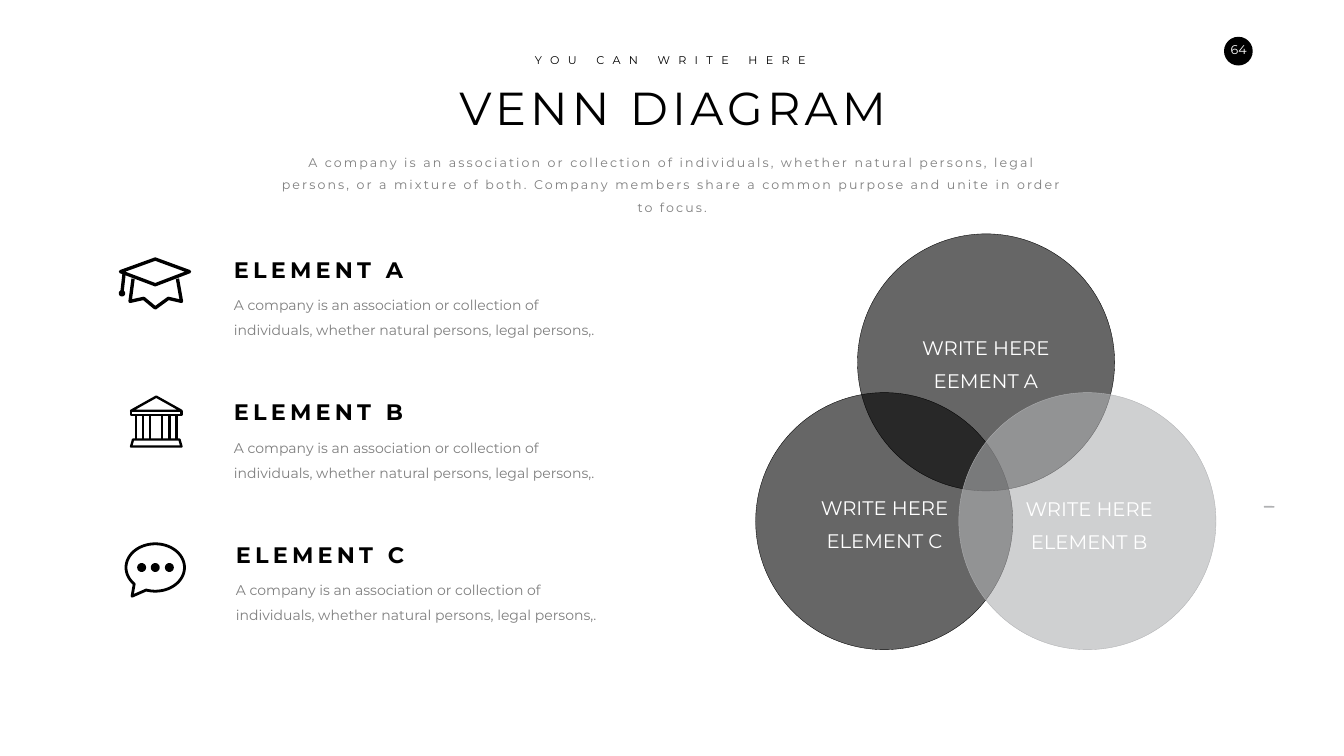
import math
from lxml import etree
from pptx import Presentation
from pptx.dml.color import RGBColor
from pptx.enum import shapes, text
from pptx.oxml.ns import qn
from pptx.util import Inches, Pt

FONT = "Montserrat"
COLORS = {"black": "000000", "white": "FFFFFF", "gray": "7F7F7F", "silver": "B0B1B3"}

# Content
PAGE_NUMBER = "64"
TITLE = "VENN DIAGRAM"
KICKER = "YOU CAN WRITE HERE"
INTRO = ("A company is an association or collection of individuals, whether natural persons, "
         "legal persons, or a mixture of both. Company members share a common purpose and "
         "unite in order to focus.")
ELEMENT_TEXT = ("A company is an association or collection of individuals, "
                "whether natural persons, legal persons,.")
ELEMENTS = [("ELEMENT A", 4.54, 5.03), ("ELEMENT B", 4.54, 7.86), ("ELEMENT C", 4.58, 10.68)]

# Circle left, top, colour; label left, top, lines
CIRCLE_SIZE = 5.1
CIRCLES = [
    (14.99, 7.79, "black", 15.75, 9.61, ["WRITE HERE", "ELEMENT C"]),
    (17.01, 4.64, "black", 17.76, 6.43, ["WRITE HERE", "EEMENT A"]),
    (19.02, 7.79, "silver", 19.81, 9.63, ["WRITE HERE", "ELEMENT B"]),
]


def arc(x, y, radius_x, radius_y, start=0, end=360, step=12):
    return [(x + radius_x * math.cos(math.radians(a)), y + radius_y * math.sin(math.radians(a)))
            for a in range(start, end, step)]


# Icons: each is a list of (points, closed) strokes
CAP = [
    ([(2.39, 5.39), (3.08, 5.14), (3.76, 5.39), (3.08, 5.65)], True),
    ([(2.64, 5.53), (2.58, 5.98), (2.85, 5.92), (3.08, 6.11), (3.34, 5.92),
      (3.6, 5.98), (3.52, 5.53)], False),
    ([(2.46, 5.44), (2.42, 5.8)], False),
    (arc(2.42, 5.82, 0.03, 0.03), True),
]
BANK = [
    ([(3.1, 7.87), (3.6, 8.15), (2.6, 8.15)], True),
    ([(2.6, 8.15), (3.6, 8.15), (3.6, 8.24), (2.6, 8.24)], True),
    ([(2.64, 8.72), (3.56, 8.72), (3.6, 8.86), (2.6, 8.86)], True),
] + [([(x, 8.24), (x, 8.72)], False) for x in (2.7, 2.84, 2.98, 3.22, 3.36, 3.5)]
BUBBLE = [(arc(3.08, 11.26, 0.58, 0.47, 136, 469, 4) + [(2.62, 11.83)], True)]
BUBBLE += [(arc(x, 11.26, radius, radius), True) for x in (2.81, 3.08, 3.36)
           for radius in (0.06, 0.02)]
ICONS = [(CAP, 4.8), (BUBBLE, 4), (BANK, 3.4)]  # strokes, line width in points


def rgb(name):
    return RGBColor.from_string(COLORS[name])


def write(frame, lines, size, color, align="LEFT", spacing=1.0, tracking=0, bold=False, wrap=True):
    frame.word_wrap = wrap
    frame.auto_size = text.MSO_AUTO_SIZE.NONE
    frame.vertical_anchor = text.MSO_ANCHOR.TOP
    for index, line in enumerate(lines):
        para = frame.paragraphs[0] if index == 0 else frame.add_paragraph()
        para.alignment = getattr(text.PP_ALIGN, align)
        para.line_spacing = spacing
        span = para.add_run()
        span.text = line
        span.font.name = FONT
        span.font.size = Pt(size)
        span.font.bold = bold
        span.font.color.rgb = rgb(color)
        if tracking:
            span.font._element.set("spc", str(tracking * 100))


def add_text(page, left, top, width, height, lines, size, color, **style):
    box = page.shapes.add_textbox(Inches(left), Inches(top), Inches(width), Inches(height))
    write(box.text_frame, lines, size, color, **style)


def add_solid(page, kind, left, top, width, height, color, alpha=None):
    shape = page.shapes.add_shape(kind, Inches(left), Inches(top), Inches(width), Inches(height))
    shape.shadow.inherit = False
    shape.fill.solid()
    shape.fill.fore_color.rgb = rgb(color)
    if alpha is None:
        shape.line.fill.background()
    else:
        shape.line.color.rgb = rgb(color)
        shape.line.width = Pt(0.5)
        fill_color = shape._element.spPr.find(qn("a:solidFill"))[0]
        etree.SubElement(fill_color, qn("a:alpha")).set("val", str(alpha * 1000))


def add_icon(page, strokes, width):
    builder = None
    for points, closed in strokes:
        start, *rest = [(Inches(x), Inches(y)) for x, y in points]
        if builder is None:
            builder = page.shapes.build_freeform(*start)
        else:
            builder.move_to(*start)
        builder.add_line_segments(rest, close=closed)
    shape = builder.convert_to_shape()
    shape.shadow.inherit = False
    shape.fill.background()
    shape.line.color.rgb = rgb("black")
    shape.line.width = Pt(width)


def main():
    deck = Presentation()
    deck.slide_width, deck.slide_height = Inches(26.66), Inches(15)
    page = deck.slides.add_slide(deck.slide_layouts[5])
    oval = shapes.MSO_SHAPE.OVAL

    # Page number
    add_solid(page, oval, 24.28, 0.73, 0.57, 0.57, "black")
    add_text(page, 24.14, 0.78, 0.86, 0.4, [PAGE_NUMBER], 18, "white", align="CENTER", wrap=False)

    # Heading
    title = page.shapes.title
    title.left, title.top, title.width, title.height = map(Inches, (8.98, 1.52, 8.74, 1.21))
    write(title.text_frame, [TITLE], 66, "black", align="CENTER", tracking=6, wrap=False)
    add_text(page, 10.41, 1, 5.78, 0.37, [KICKER], 16, "black",
             align="CENTER", tracking=12, wrap=False)
    add_text(page, 5.32, 2.87, 16.03, 1.01, [INTRO], 18, "gray",
             align="CENTER", spacing=1.5, tracking=3)

    # Venn circles, then their labels on top
    for left, top, color, *_ in CIRCLES:
        add_solid(page, oval, left, top, CIRCLE_SIZE, CIRCLE_SIZE, color, alpha=60)
    for *_, left, top, lines in CIRCLES:
        add_text(page, left, top, 3.59, 1.42, lines, 28, "white", align="CENTER", spacing=1.4)
    add_solid(page, shapes.MSO_SHAPE.ROUNDED_RECTANGLE, 25.07, 10.04, 0.21, 0.03, "silver")

    # Element list
    for name, left, top in ELEMENTS:
        add_text(page, left, top, 5.73, 0.64, [name], 32, "black", tracking=6, bold=True)
        add_text(page, left, top + 0.64, 7.46, 1.11, [ELEMENT_TEXT], 20, "gray", spacing=1.5)

    # Icons
    for strokes, width in ICONS:
        add_icon(page, strokes, width)

    deck.save("out.pptx")


if __name__ == "__main__":
    main()
